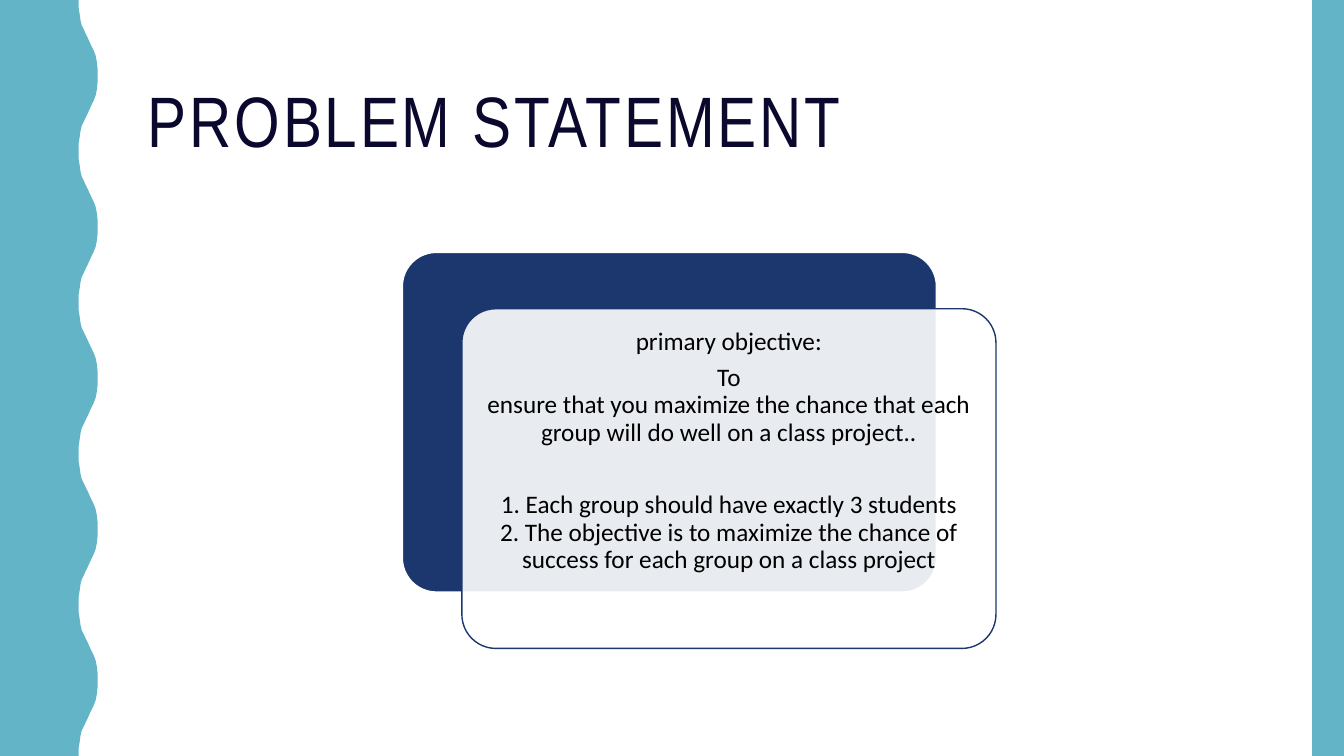
from lxml.etree import SubElement
from pptx import Presentation
from pptx.dml.color import RGBColor
from pptx.enum.shapes import MSO_SHAPE
from pptx.enum.text import MSO_ANCHOR, PP_ALIGN
from pptx.oxml.ns import qn
from pptx.util import Cm, Pt

PAGE_WIDTH, PAGE_HEIGHT = 33.87, 19.05
TEAL, NAVY, INK, WHITE, BLACK = "62B4C6", "1B376E", "0B082E", "FFFFFF", "000000"
HALF_WAVES = 10
HALF_WAVE = [
    (1.98, 0), (1.98, 0.18), (2.01, 0.36), (2.03, 0.51), (2.06, 0.64),
    (2.11, 0.74), (2.16, 0.85), (2.21, 0.95), (2.26, 1.06), (2.31, 1.17),
    (2.36, 1.27), (2.41, 1.4), (2.44, 1.55), (2.46, 1.73), (2.46, 1.9),
]
OBJECTIVE = [
    ("primary objective:", 6.3),
    ("To\vensure that you maximize the chance that each group will do well on a class project..", 32.4),
    ("1. Each group should have exactly 3 students\v"
     "2. The objective is to maximize the chance of success for each group on a class project", 0),
]


def color(value):
    return RGBColor.from_string(value)


def wave_edge():
    step = PAGE_HEIGHT / HALF_WAVES
    for index in range(HALF_WAVES):
        for x, y in HALF_WAVE if index % 2 == 0 else reversed(HALF_WAVE):
            yield x, index * step + (y if index % 2 == 0 else step - y)


class SlideBuilder:
    heading_font = "Arial Narrow"
    body_font = "Calibri"

    def __init__(self, deck):
        self.page = deck.slides.add_slide(deck.slide_layouts[6])

    def paint(self, shape, fill, line=None):
        shape.shadow.inherit = False
        shape.fill.solid()
        shape.fill.fore_color.rgb = color(fill)
        if line:
            shape.line.color.rgb = color(line)
            shape.line.width = Pt(1)
        else:
            shape.line.fill.background()

    def wave(self, fill):
        points = [(Cm(x), Cm(y)) for x, y in [*wave_edge(), (HALF_WAVE[0][0], PAGE_HEIGHT), (0, PAGE_HEIGHT)]]
        builder = self.page.shapes.build_freeform(0, 0)
        builder.add_line_segments([(Cm(HALF_WAVE[0][0]), 0), *points], close=True)
        self.paint(builder.convert_to_shape(), fill)

    def band(self, left, top, width, height, fill):
        band = self.page.shapes.add_shape(MSO_SHAPE.RECTANGLE, Cm(left), Cm(top), Cm(width), Cm(height))
        self.paint(band, fill)

    def card(self, left, top, fill, line, opacity=100):
        card = self.page.shapes.add_shape(MSO_SHAPE.ROUNDED_RECTANGLE, Cm(left), Cm(top), Cm(13.46), Cm(8.56))
        card.adjustments[0] = 0.1
        self.paint(card, fill, line)
        if opacity < 100:
            fill_color = card.element.spPr.find(qn("a:solidFill"))[0]
            SubElement(fill_color, qn("a:alpha")).set("val", str(opacity * 1000))
        return card

    def style_text(self, paragraph, text, font, size, ink, after=0):
        paragraph.text = text
        paragraph.line_spacing = 0.9
        paragraph.space_after = Pt(after)
        paragraph.font.name = font
        paragraph.font.size = Pt(size)
        paragraph.font.color.rgb = color(ink)

    def title(self, text, left, top, width, height):
        box = self.page.shapes.add_textbox(Cm(left), Cm(top), Cm(width), Cm(height))
        frame = box.text_frame
        frame.word_wrap = True
        frame.vertical_anchor = MSO_ANCHOR.MIDDLE
        paragraph = frame.paragraphs[0]
        self.style_text(paragraph, text, self.heading_font, 51, INK)
        paragraph.runs[0]._r.get_or_add_rPr().set("spc", "200")

    def card_text(self, card, entries):
        frame = card.text_frame
        frame.word_wrap = True
        frame.vertical_anchor = MSO_ANCHOR.TOP
        frame.margin_left = frame.margin_right = frame.margin_bottom = Cm(0.18)
        frame.margin_top = Cm(0.26)
        for index, (text, after) in enumerate(entries):
            paragraph = frame.add_paragraph() if index else frame.paragraphs[0]
            self.style_text(paragraph, text, self.body_font, 18, BLACK, after)
            paragraph.alignment = PP_ALIGN.CENTER


def main():
    deck = Presentation()
    deck.slide_width, deck.slide_height = Cm(PAGE_WIDTH), Cm(PAGE_HEIGHT)
    slide = SlideBuilder(deck)
    slide.title("PROBLEM STATEMENT", 3.48, 1.07, 28.27, 4.14)
    slide.wave(TEAL)
    slide.band(33.07, 0, 0.8, PAGE_HEIGHT, TEAL)
    slide.card(10.14, 6.36, NAVY, WHITE)
    panel = slide.card(11.64, 7.78, WHITE, NAVY, opacity=90)
    slide.card_text(panel, OBJECTIVE)
    deck.save("out.pptx")


if __name__ == "__main__":
    main()
